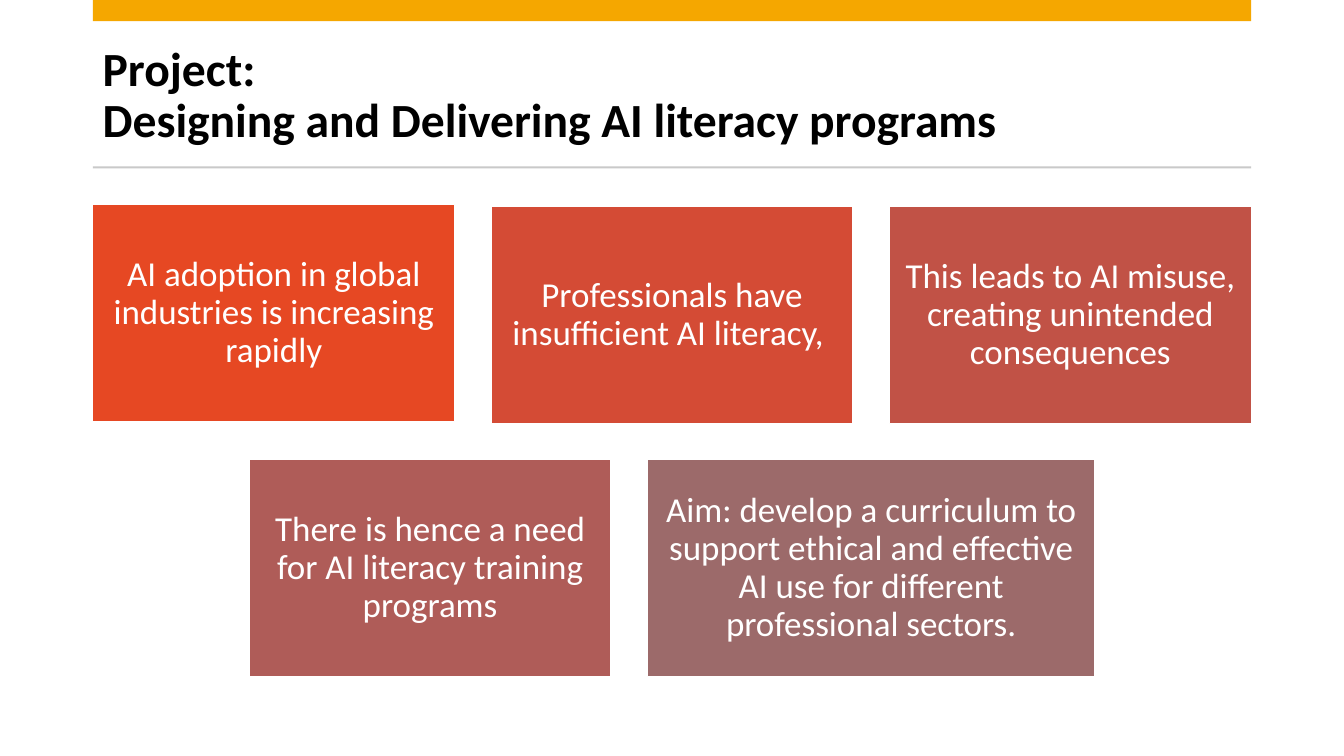
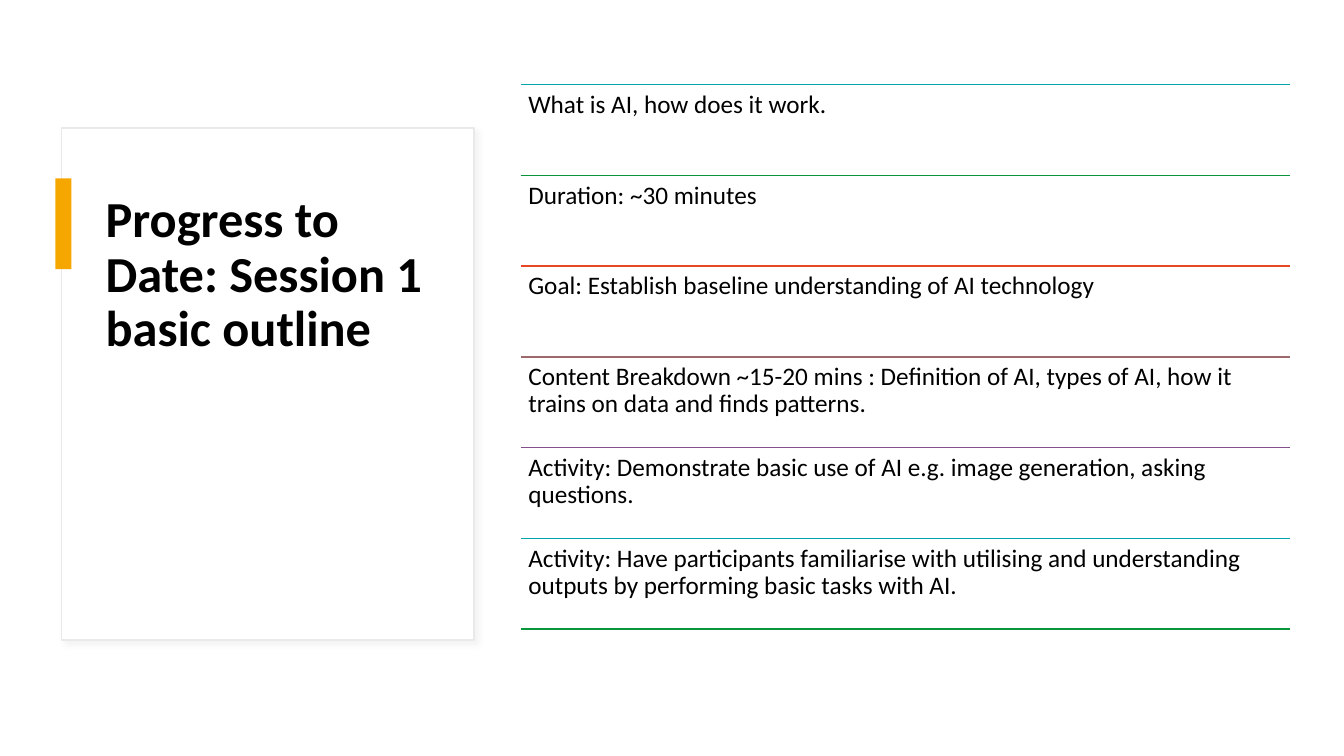
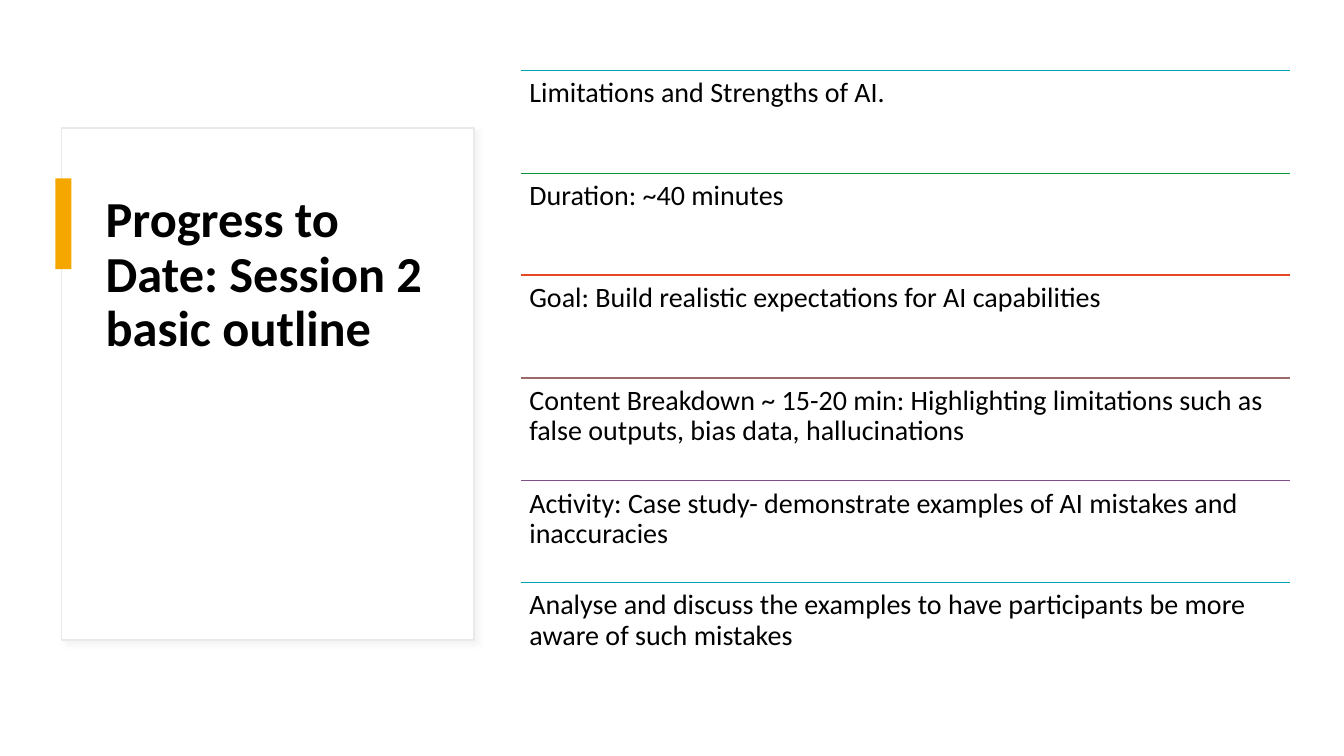
"""Build three slides on AI literacy programs."""
from lxml.etree import SubElement
from pptx import Presentation
from pptx.dml.color import RGBColor
from pptx.enum.shapes import MSO_CONNECTOR, MSO_SHAPE
from pptx.enum.text import MSO_ANCHOR, PP_ALIGN
from pptx.oxml.ns import qn
from pptx.util import Pt

PX = 9144
FONT = "Calibri"
BLACK = RGBColor(0x00, 0x00, 0x00)
WHITE = RGBColor(0xFF, 0xFF, 0xFF)
AMBER = RGBColor(0xF5, 0xA7, 0x00)
GREY = RGBColor(0xC9, 0xC9, 0xC9)
PALE = RGBColor(0xE9, 0xE9, 0xE9)
SHADE = RGBColor(0xD9, 0xD9, 0xD9)
TEAL = RGBColor(0x00, 0xA5, 0xAB)
GREEN = RGBColor(0x09, 0x96, 0x3B)
RED = RGBColor(0xE6, 0x48, 0x23)
BRICK = RGBColor(0xD4, 0x4B, 0x35)
RUST = RGBColor(0xC1, 0x52, 0x46)
ROSE = RGBColor(0xAF, 0x5C, 0x58)
MAUVE = RGBColor(0x9C, 0x6A, 0x6A)
PLUM = RGBColor(0x82, 0x4F, 0x8C)
RULES = [TEAL, GREEN, RED, MAUVE, PLUM]


def block(slide, area, fill, edge=None):
    """Draw a flat rectangle."""
    rect = slide.shapes.add_shape(MSO_SHAPE.RECTANGLE, *[n * PX for n in area])
    rect.shadow.inherit = False
    rect.fill.solid()
    rect.fill.fore_color.rgb = fill
    if edge is None:
        rect.line.fill.background()
    else:
        rect.line.color.rgb = edge
        rect.line.width = Pt(1)
    return rect


def write(shape, lines, size, color=BLACK, bold=False, pad=(10, 5),
          anchor=MSO_ANCHOR.TOP, align=PP_ALIGN.LEFT):
    """Set one paragraph, with a break between its lines."""
    frame = shape.text_frame
    frame.word_wrap = True
    frame.vertical_anchor = anchor
    frame.margin_left = frame.margin_right = pad[0] * PX
    frame.margin_top = frame.margin_bottom = pad[1] * PX
    para = frame.paragraphs[0]
    para.alignment = align
    para.line_spacing = 0.9
    for i, line in enumerate(lines):
        if i:
            para.add_line_break()
        run = para.add_run()
        run.text = line
        run.font.name = FONT
        run.font.size = Pt(size)
        run.font.bold = bold
        run.font.color.rgb = color


deck = Presentation()
deck.slide_width = 1333 * PX
deck.slide_height = 750 * PX
blank = deck.slide_layouts[6]

slide = deck.slides.add_slide(blank)
title = slide.shapes.add_textbox(92 * PX, 37 * PX, 1149 * PX, 118 * PX)
write(title, ["Project: ", "Designing and Delivering AI literacy programs"],
      34, bold=True, anchor=MSO_ANCHOR.MIDDLE)
block(slide, (92, 0, 1149, 21), AMBER)
block(slide, (92, 165, 1149, 2), GREY)

GAP = 36
rows = [
    (92, [
        (203, 359, RED, "AI adoption in global industries is increasing rapidly"),
        (205, 359, BRICK, "Professionals have insufficient AI literacy, "),
        (205, 359, RUST, "This leads to AI misuse, creating unintended consequences"),
    ]),
    (247, [
        (456, 359, ROSE, "There is hence a need for AI literacy training programs"),
        (456, 444, MAUVE, "Aim: develop a curriculum to support ethical and effective "
                          "AI use for different professional sectors."),
    ]),
]
for left, cards in rows:
    for top, width, fill, text in cards:
        card = block(slide, (left, top, width, 215), fill, WHITE)
        write(card, [text], 25, WHITE, pad=(10, 10),
              anchor=MSO_ANCHOR.MIDDLE, align=PP_ALIGN.CENTER)
        left += width + GAP

plans = [
    ("1", 344, 84, 540, 7, 18, 7, [
        "What is AI, how does it work.",
        "Duration: ~30 minutes",
        "Goal: Establish baseline understanding of AI technology",
        "Content Breakdown ~15-20 mins : Definition of AI, types of AI, "
        "how it trains on data and finds patterns.",
        "Activity: Demonstrate basic use of AI e.g. image generation, "
        "asking questions.",
        "Activity: Have participants familiarise with utilising and "
        "understanding outputs by performing basic tasks with AI.",
    ]),
    ("2", 339, 70, 610, 6, 20, 8, [
        "Limitations and Strengths of AI.",
        "Duration: ~40 minutes",
        "Goal: Build realistic expectations for AI capabilities",
        "Content Breakdown ~ 15-20 min: Highlighting limitations such as "
        "false outputs, bias data, hallucinations",
        "Activity: Case study- demonstrate examples of AI mistakes and "
        "inaccuracies",
        "Analyse and discuss the examples to have participants be more "
        "aware of such mistakes",
    ]),
]
for name, width, top, span, count, size, pad, items in plans:
    slide = deck.slides.add_slide(blank)
    panel = block(slide, (61, 127, 409, 508), WHITE, PALE)
    glow = SubElement(panel._element.spPr.find(qn("a:effectLst")), qn("a:outerShdw"),
                      blurRad=str(Pt(4)), dist=str(Pt(3)), dir="2700000",
                      algn="tl", rotWithShape="0")
    tint = SubElement(glow, qn("a:srgbClr"), val=str(SHADE))
    SubElement(tint, qn("a:alpha"), val="30000")
    title = slide.shapes.add_textbox(95 * PX, 188 * PX, width * PX, 385 * PX)
    write(title, [f"Progress to Date: Session {name}", "basic outline"], 36, bold=True)
    block(slide, (55, 177, 16, 90), AMBER)

    step = span / len(items)
    for i in range(count):
        y = round(top + i * step) * PX
        rule = slide.shapes.add_connector(MSO_CONNECTOR.STRAIGHT, 517 * PX, y, 1279 * PX, y)
        rule.line.color.rgb = RULES[i % len(RULES)]
        rule.line.width = Pt(1)
        SubElement(rule._element.spPr, qn("a:effectLst"))
        if i < len(items):
            item = slide.shapes.add_textbox(517 * PX, y, 762 * PX, round(step) * PX)
            write(item, [items[i]], size, pad=(pad, pad))

deck.save("out.pptx")
